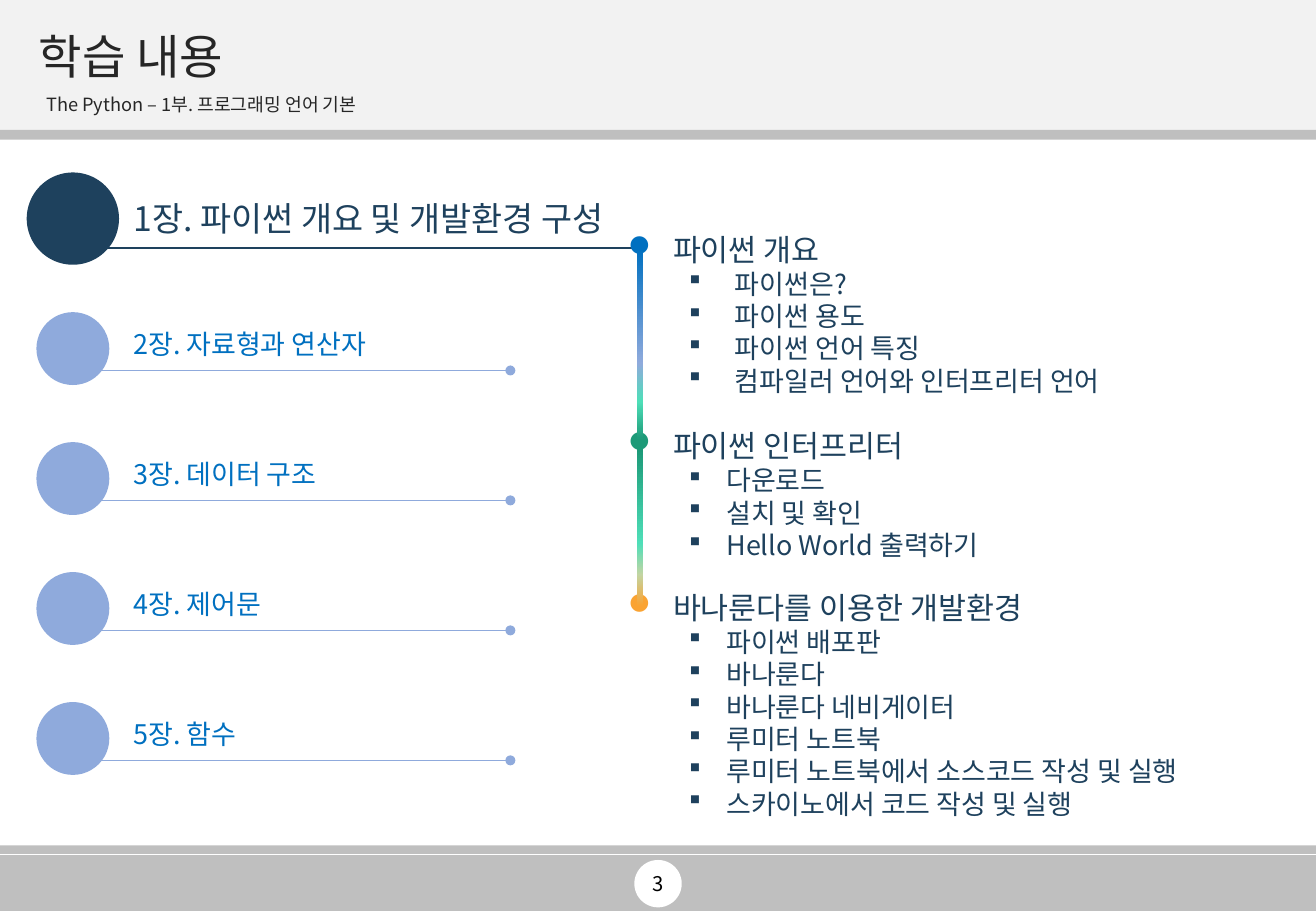
from lxml.etree import SubElement
from pptx import Presentation
from pptx.dml.color import RGBColor
from pptx.enum.shapes import MSO_CONNECTOR as Connector, MSO_SHAPE as Shape
from pptx.enum.text import MSO_ANCHOR as Anchor, PP_ALIGN as Align
from pptx.oxml.ns import qn
from pptx.util import Inches, Pt

FONT = "Noto Sans CJK KR"
NAVY, BLUE, PALE, GREEN, ORANGE = "1E415D", "0070C0", "8FAADC", "1D9A78", "FAA332"
GRAY, LIGHT, WHITE, BLACK, DARK = "BFBFBF", "F2F2F2", "FFFFFF", "000000", "262626"

BANDS = [
    (7.04, 0.46, GRAY),
    (6.96, 0.07, GRAY),
    (0, 1.07, LIGHT),
    (1.07, 0.08, GRAY),
]
TITLE = "학습 내용"
SUBTITLE = "The Python – 1부. 프로그래밍 언어 기본"
PAGE_NUMBER = "3"
CURRENT_CHAPTER = "1장. 파이썬 개요 및 개발환경 구성"
OTHER_CHAPTERS = ["2장. 자료형과 연산자", "3장. 데이터 구조", "4장. 제어문", "5장. 함수"]
SECTIONS = [
    (1.85, 1.48, BLUE, "파이썬 개요", (0.88, 0.38),
     ["파이썬은?", "파이썬 용도", "파이썬 언어 특징", "컴파일러 언어와 인터프리터 언어"]),
    (3.47, 1.25, GREEN, "파이썬 인터프리터", (0.81, 0.31),
     ["다운로드", "설치 및 확인", "Hello World 출력하기"]),
    (4.8, 2.02, ORANGE, "바나룬다를 이용한 개발환경", (0.81, 0.31),
     ["파이썬 배포판", "바나룬다", "바나룬다 네비게이터", "루미터 노트북",
      "루미터 노트북에서 소스코드 작성 및 실행", "스카이노에서 코드 작성 및 실행"]),
]
TIMELINE = [
    (2.05, 1.57, [(0, BLUE), (60, PALE), (80, "4EDEB8"), (100, GREEN)]),
    (3.7, 1.29, [(0, GREEN), (60, "4EDEB8"), (80, "C2D5A3"), (100, ORANGE)]),
]
CHAPTER_TOP, CHAPTER_PITCH = 2.57, 1.07
HEADING_INDENT = (0.37, 0.37)


def color(value):
    return RGBColor.from_string(value)


def add_filled(slide, kind, box, fill=None):
    shape = slide.shapes.add_shape(kind, *map(Inches, box))
    shape.shadow.inherit = False
    shape.line.fill.background()
    if fill:
        shape.fill.solid()
        shape.fill.fore_color.rgb = color(fill)
    return shape


def add_gradient_bar(slide, box, stops):
    shape = add_filled(slide, Shape.RECTANGLE, box)
    shape.fill.gradient()
    shape.fill.gradient_angle = 270
    stop_list = shape.element.spPr.find(qn("a:gradFill")).find(qn("a:gsLst"))
    for old_stop in list(stop_list):
        stop_list.remove(old_stop)
    for position, value in stops:
        stop = SubElement(stop_list, qn("a:gs"), pos=str(position * 1000))
        SubElement(stop, qn("a:srgbClr"), val=value)


def add_line(slide, left, right, y, value):
    line = slide.shapes.add_connector(
        Connector.STRAIGHT, Inches(left), Inches(y), Inches(right), Inches(y))
    line.line.color.rgb = color(value)
    line.line.width = Pt(1)
    SubElement(line.line._get_or_add_ln(), qn("a:tailEnd"), type="oval")
    SubElement(line.element.spPr, qn("a:effectLst"))


def add_frame(slide, box, **frame_format):
    frame = slide.shapes.add_textbox(*map(Inches, box)).text_frame
    frame.word_wrap = True
    for name, value in frame_format.items():
        setattr(frame, name, value)
    return frame


def write(paragraph, text, size, value, **paragraph_format):
    run = paragraph.add_run()
    run.text = text
    for name, setting in {"name": FONT, "size": Pt(size)}.items():
        setattr(run.font, name, setting)
    run.font.color.rgb = color(value)
    SubElement(run.font._element, qn("a:ea"), typeface=FONT)
    for name, setting in paragraph_format.items():
        setattr(paragraph, name, setting)


def add_bullet(paragraph, character, value, indent):
    margin, hanging = map(Inches, indent)
    properties = paragraph._p.get_or_add_pPr()
    properties.set("marL", str(margin))
    properties.set("indent", str(-hanging))
    bullet_color = SubElement(properties, qn("a:buClr"))
    SubElement(bullet_color, qn("a:srgbClr"), val=value)
    SubElement(properties, qn("a:buFont"), typeface="Wingdings")
    SubElement(properties, qn("a:buChar"), char=character)


def add_chapter(slide, circle, line, label, text, size, fill, text_color):
    add_filled(slide, Shape.OVAL, circle, fill)
    add_line(slide, *line, fill)
    write(add_frame(slide, label).paragraphs[0], text, size, text_color)


def add_section(slide, top, height, dot_color, heading, indent, topics):
    frame = add_frame(slide, (5.07, top, 5.38, height))
    paragraph = frame.paragraphs[0]
    write(paragraph, heading, 18, NAVY)
    add_bullet(paragraph, "l", dot_color, HEADING_INDENT)
    for topic in topics:
        paragraph = frame.add_paragraph()
        write(paragraph, topic, 16, NAVY, level=1)
        add_bullet(paragraph, "§", NAVY, indent)


def main():
    presentation = Presentation()
    presentation.slide_width, presentation.slide_height = Inches(10.83), Inches(7.5)
    slide = presentation.slides.add_slide(presentation.slide_layouts[6])

    for top, height, fill in BANDS:
        add_filled(slide, Shape.RECTANGLE, (0, top, 10.83, height), fill)
    add_filled(slide, Shape.OVAL, (5.22, 7.08, 0.39, 0.39), WHITE)

    middle = {"vertical_anchor": Anchor.MIDDLE}
    number = add_frame(slide, (4.2, 7.08, 2.44, 0.39), **middle)
    write(number.paragraphs[0], PAGE_NUMBER, 12, BLACK, alignment=Align.CENTER)
    title = add_frame(slide, (0.22, 0.21, 10.39, 0.55), **middle)
    write(title.paragraphs[0], TITLE, 28, DARK, line_spacing=0.9)
    subtitle = add_frame(slide, (0.3, 0.76, 10.32, 0.24), margin_left=Inches(0.08), **middle)
    write(subtitle.paragraphs[0], SUBTITLE, 10.8, DARK, line_spacing=0.7, space_before=Pt(8.1))

    add_chapter(slide, (0.22, 1.42, 0.76, 0.76), (0.79, 5.26, 2.04),
                (1, 1.58, 4.62, 0.44), CURRENT_CHAPTER, 20, NAVY, NAVY)
    for index, text in enumerate(OTHER_CHAPTERS):
        top = CHAPTER_TOP + index * CHAPTER_PITCH
        add_chapter(slide, (0.3, top, 0.6, 0.6), (0.79, 4.2, top + 0.48),
                    (1, top + 0.08, 2.54, 0.37), text, 16, PALE, BLUE)

    for section in SECTIONS:
        add_section(slide, *section)
    for top, height, stops in TIMELINE:
        add_gradient_bar(slide, (5.24, top, 0.05, height), stops)

    presentation.save("out.pptx")


if __name__ == "__main__":
    main()
